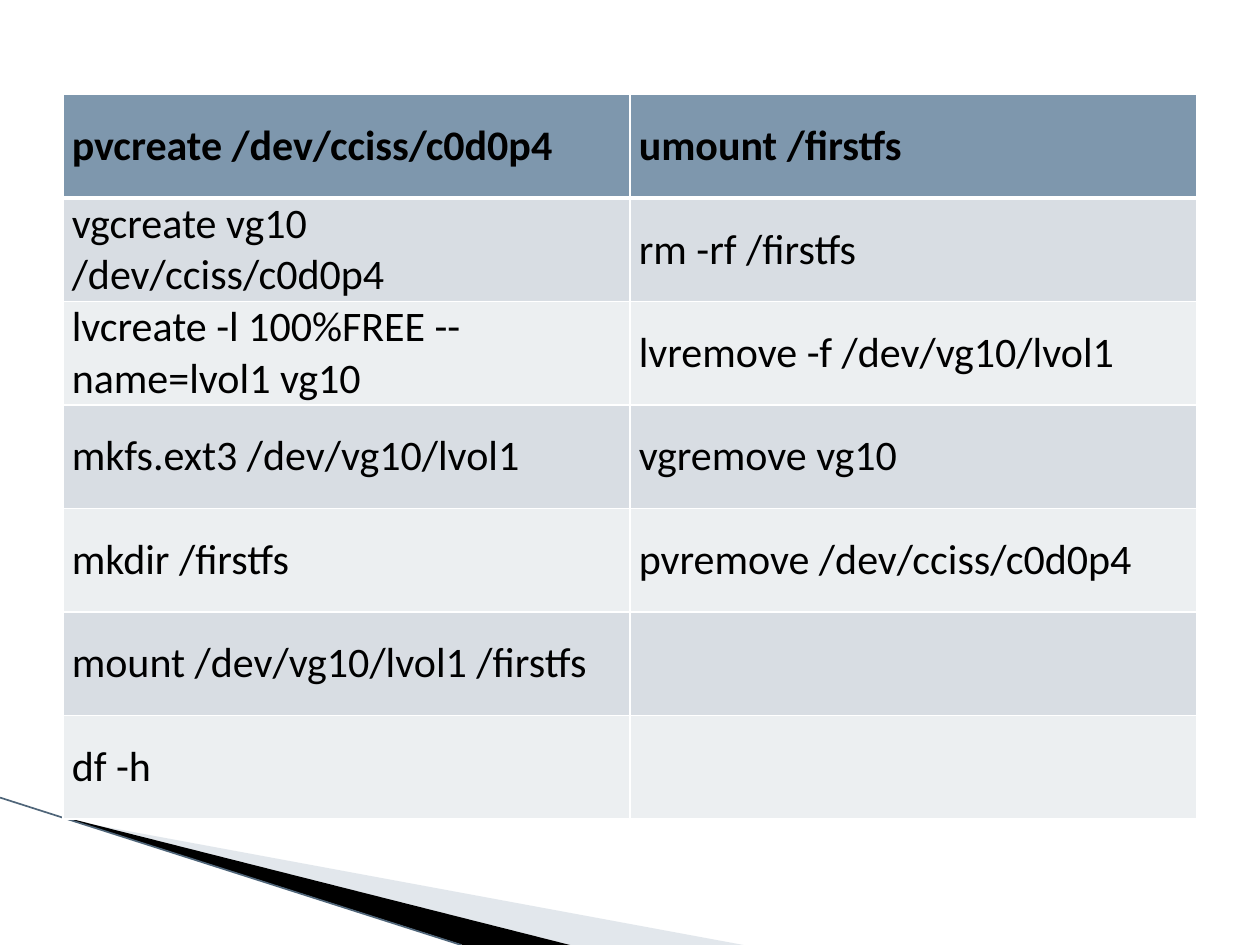
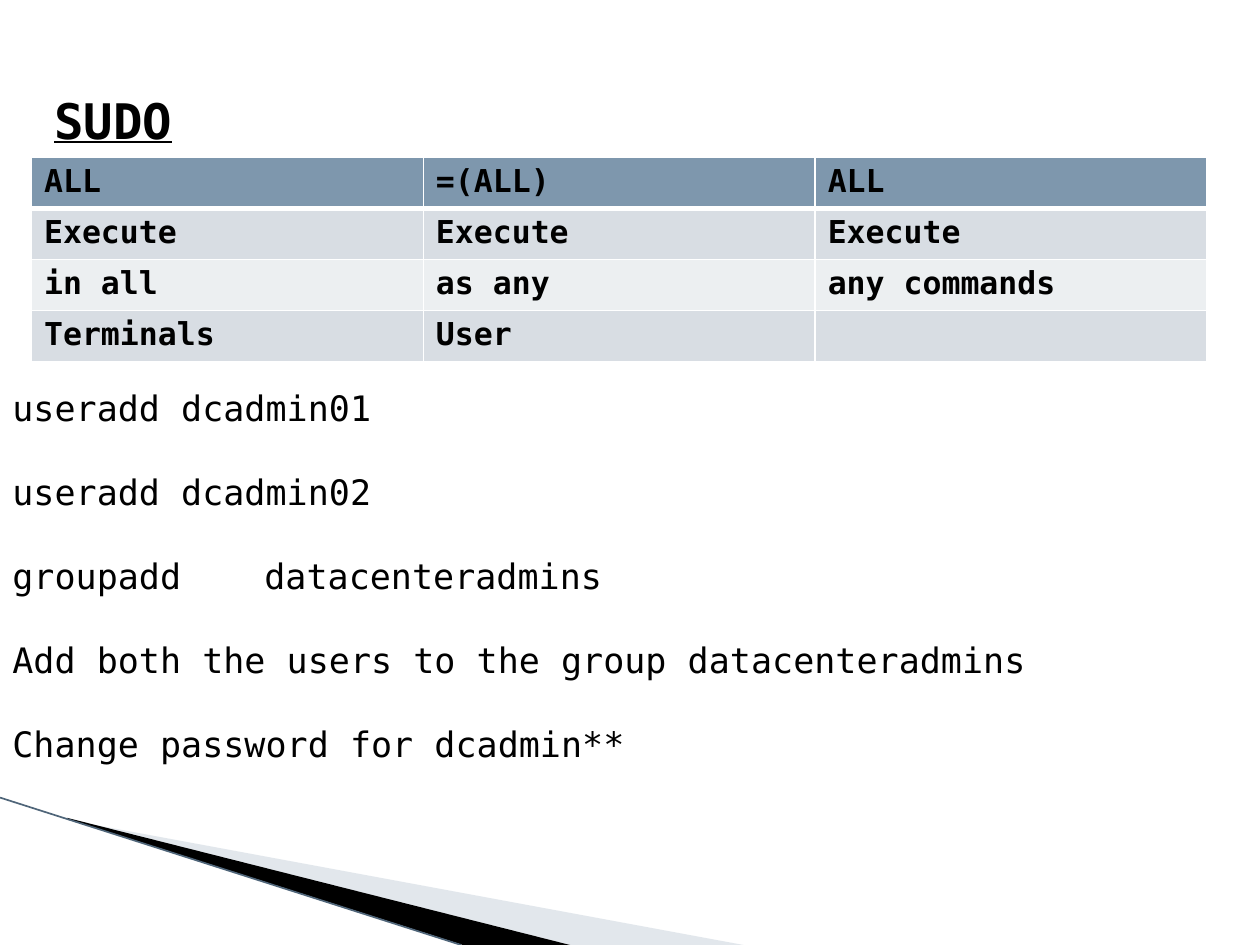
from lxml.etree import SubElement
from pptx import Presentation
from pptx.dml.color import RGBColor
from pptx.enum.shapes import MSO_CONNECTOR
from pptx.enum.text import MSO_ANCHOR, MSO_AUTO_SIZE, PP_ALIGN
from pptx.oxml.ns import qn
from pptx.util import Inches, Pt

HUES = {"ink": "000000", "head": "7E97AD", "odd": "D8DDE3", "even": "ECEFF1",
        "white": "FFFFFF", "mist": "B7C4D0", "edge": "4F6579"}
SANS, MONO = "Calibri", "DejaVu Sans Mono"
UNIT = 0.25


def grid(*cells):
    """Turn columns or rows of the grid into lengths."""
    return [Inches(c * UNIT) for c in cells]


def apply(item, vals):
    """Set each named value on the item."""
    for name, val in vals.items():
        setattr(item, name, val)


def hue(name):
    """Give the colour of that name."""
    return RGBColor.from_string(HUES[name])


def paint(fill, name):
    """Fill with one solid colour."""
    fill.solid()
    fill.fore_color.rgb = hue(name)


class Deck:
    """Hold the style and the current slide."""

    def __init__(self):
        self.prs = Presentation()
        apply(self.prs, dict(zip(("slide_width", "slide_height"), grid(40, 30))))

    def page(self, layout):
        """Start a slide with its corner band."""
        layouts = self.prs.slide_layouts
        self.slide = self.prs.slides.add_slide(layouts.get_by_name(layout))
        self.shapes = self.slide.shapes
        self.wedge("mist", [(2.2, 26.04), (23.6, 30), (18.1, 30), (2.2, 26)], 40)
        self.wedge("ink", [(2.12, 25.96), (18.1, 30), (14.7, 30), (2.16, 26)])
        self.line((0, 25.32), (14.64, 30))

    def wedge(self, name, spots, alpha=100):
        """Draw a filled outline through the spots."""
        first, *rest = [grid(*s) for s in spots]
        form = self.shapes.build_freeform(*first)
        form.add_line_segments(rest)
        shape = form.convert_to_shape()
        shape.shadow.inherit = False
        shape.line.fill.background()
        paint(shape.fill, name)
        clr = shape._element.spPr.find(".//" + qn("a:srgbClr"))
        SubElement(clr, qn("a:alpha"), val=str(alpha * 1000))

    def line(self, start, end):
        """Draw a thin edge line."""
        rule = self.shapes.add_connector(MSO_CONNECTOR.STRAIGHT, *grid(*start, *end))
        rule.line.width = Pt(0.95)
        rule.line.color.rgb = hue("edge")
        SubElement(rule._element.spPr, qn("a:effectLst"))

    def label(self, para, text, face, size, **vals):
        """Put styled text in a paragraph."""
        run = para.add_run()
        run.text = text
        apply(run.font, {"name": face, "size": Pt(size), **vals})
        run.font.color.rgb = hue("ink")

    def title(self, text, box):
        """Place and fill the title."""
        head = self.shapes.title
        apply(head, dict(zip(("left", "top", "width", "height"), grid(*box))))
        apply(head.text_frame, {"vertical_anchor": MSO_ANCHOR.TOP,
                                "auto_size": MSO_AUTO_SIZE.NONE})
        para = head.text_frame.paragraphs[0]
        para.alignment = PP_ALIGN.LEFT
        self.label(para, text, MONO, 28, bold=True, underline=True)

    def text(self, lines, box, gap, stop):
        """Place spaced lines with one tab stop."""
        frame = self.shapes.add_textbox(*grid(*box)).text_frame
        apply(frame, {"word_wrap": True, "vertical_anchor": MSO_ANCHOR.MIDDLE})
        for i, line in enumerate(lines):
            para = frame.add_paragraph() if i else frame.paragraphs[0]
            para.space_before = Pt(gap if i else 0)
            tabs = SubElement(para._p.get_or_add_pPr(), qn("a:tabLst"))
            SubElement(tabs, qn("a:tab"), pos=str(Inches(stop)), algn="l")
            self.label(para, line, MONO, 20)

    def border(self, cell, row):
        """Rule the cell, thick below the header."""
        props = cell._tc.get_or_add_tcPr()
        for side in "LRTB":
            thick = (row, side) in ((0, "B"), (1, "T"))
            edge = SubElement(props, qn("a:ln" + side), w=str(Pt(3 if thick else 1)))
            fill = SubElement(edge, qn("a:solidFill"))
            SubElement(fill, qn("a:srgbClr"), val=HUES["white"])

    def table(self, rows, box, face, size, bold, form):
        """Draw a banded table of equal cells."""
        area = grid(*box)
        table = self.shapes.add_table(len(rows), len(rows[0]), *area).table
        for r, row in enumerate(rows):
            table.rows[r].height = area[3] // len(rows)
            for c, text in enumerate(row):
                cell = table.cell(r, c)
                apply(cell, form)
                self.border(cell, r)
                paint(cell.fill, ("odd" if r % 2 else "even") if r else "head")
                if text:
                    self.label(cell.text_frame.paragraphs[0], text, face, size,
                               bold=bold or r == 0)


def main():
    """Build both slides."""
    deck = Deck()
    deck.page("Blank")
    tight = {"vertical_anchor": MSO_ANCHOR.MIDDLE,
             "margin_left": Inches(0.07), "margin_right": Inches(0.07),
             "margin_top": 0, "margin_bottom": 0}
    deck.table([
        ("pvcreate /dev/cciss/c0d0p4", "umount /firstfs"),
        ("vgcreate vg10 /dev/cciss/c0d0p4", "rm -rf /firstfs"),
        ("lvcreate -l 100%FREE --name=lvol1 vg10", "lvremove -f /dev/vg10/lvol1"),
        ("mkfs.ext3 /dev/vg10/lvol1", "vgremove vg10"),
        ("mkdir /firstfs", "pvremove /dev/cciss/c0d0p4"),
        ("mount /dev/vg10/lvol1 /firstfs", ""),
        ("df -h", ""),
    ], (2, 3, 36, 23), SANS, 24, False, tight)

    deck.page("Title Only")
    deck.title("SUDO", (1.32, 2.68, 7, 2.28))
    deck.table([
        ("ALL", "=(ALL)", "ALL"),
        ("Execute", "Execute", "Execute"),
        ("in all", "as any", "any commands"),
        ("Terminals", "User", ""),
    ], (1, 5, 37.32, 6.48), MONO, 18, True, {"vertical_anchor": MSO_ANCHOR.TOP})
    deck.text([
        "useradd dcadmin01",
        "useradd dcadmin02",
        "groupadd\tdatacenteradmins",
        "Add both the users to the group datacenteradmins",
        "Change password for dcadmin**",
    ], (0, 12, 40, 12.52), 24, 2)
    deck.prs.save("out.pptx")


if __name__ == "__main__":
    main()
